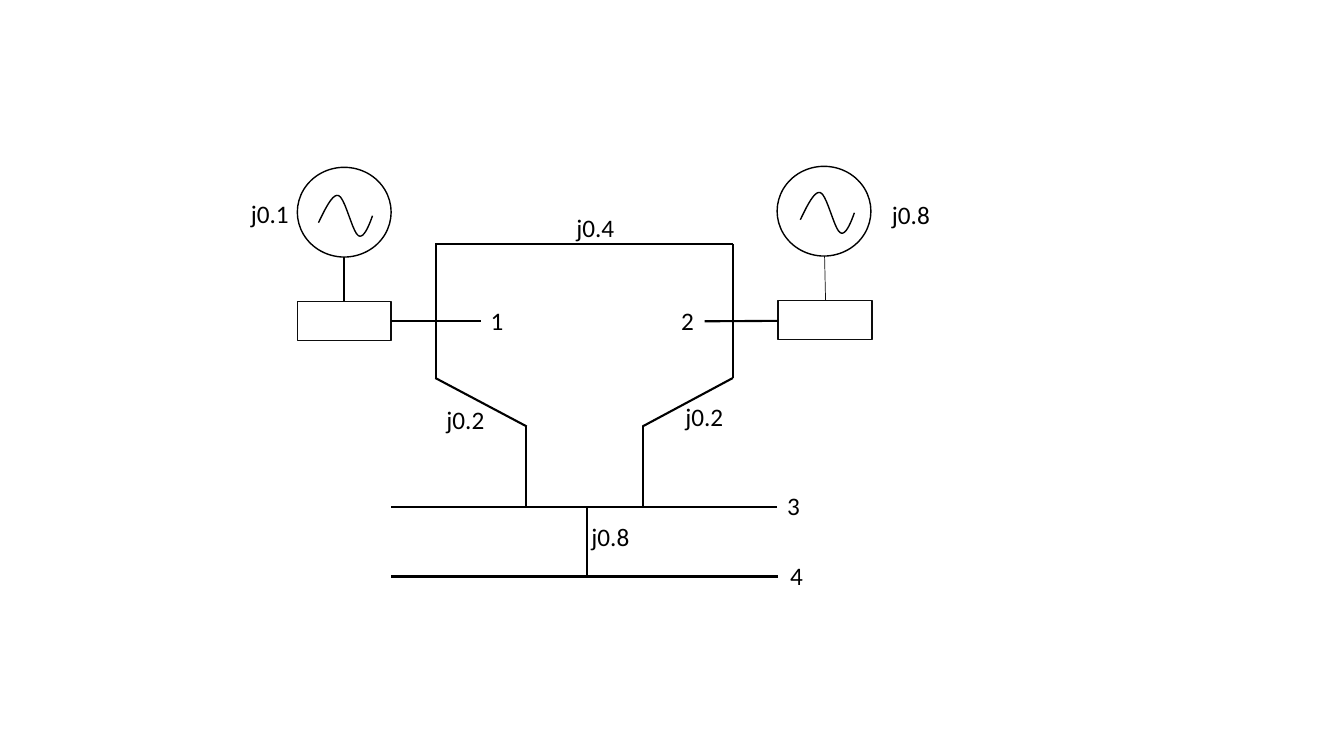
"""Draw the one-line diagram of a four-bus network with two generators."""
from typing import NamedTuple

from lxml.etree import SubElement
from pptx import Presentation
from pptx.dml.color import RGBColor
from pptx.enum.shapes import MSO_CONNECTOR as Connector, MSO_SHAPE as Preset
from pptx.enum.text import MSO_AUTO_SIZE as AutoSize
from pptx.oxml.ns import qn
from pptx.shapes.autoshape import Shape
from pptx.slide import Slide
from pptx.util import Pt

BLACK = RGBColor(0x00, 0x00, 0x00)
NEAR_BLACK = RGBColor(0x0D, 0x0D, 0x0D)
FONT = "Calibri"
CURVE_STEPS = 10
SINE_CURVES = (
    ((0, 0), (5, -10.3), (10.1, -21), (14.4, -19.4)),
    ((14.4, -19.4), (19.2, -17.5), (24.3, 7), (28.5, 9.2)),
    ((28.5, 9.2), (32, 11.5), (35.6, 3.6), (38.6, -5)),
)


class Generator(NamedTuple):
    left: float
    top: float
    sine_left: float
    sine_top: float
    box_left: float
    box_top: float


class Wire(NamedTuple):
    x1: float
    y1: float
    x2: float
    y2: float
    weight: float = 1.5
    color: RGBColor = BLACK


class Label(NamedTuple):
    text: str
    left: float
    top: float
    width: float = 41.8


GENERATORS = (
    Generator(212.4, 119.5, 227.5, 159.1, 212.4, 215.3),
    Generator(555.1, 118.8, 571.7, 157, 555.8, 214.6),
)
WIRES = (
    Wire(245.5, 183.6, 245.5, 215.3),
    Wire(589, 182.9, 589.7, 214.6, 0.5, NEAR_BLACK),
    Wire(311, 174.3, 523.5, 174.3),
    Wire(311.4, 174.6, 311.4, 270.4),
    Wire(523.5, 174.3, 523.5, 270),
    Wire(375.9, 304.6, 375.9, 362.2),
    Wire(459.3, 304.6, 459.3, 362.2),
    Wire(555.1, 362.2, 279.4, 362.2),
    Wire(523.5, 270, 459, 304.6),
    Wire(376.2, 304.6, 311, 270),
    Wire(555.8, 411.8, 279.4, 411.8),
    Wire(419, 362.2, 419, 411.5),
    Wire(555.8, 229.2, 503.3, 229.5),
    Wire(279.4, 229.5, 343.4, 229.5),
)
LABELS = (
    Label("j0.8", 630, 139),
    Label("j0.1", 172.1, 138.2),
    Label("j0.4", 404.6, 148.3),
    Label("j0.2", 482.4, 283),
    Label("j0.2", 311.8, 285.1),
    Label("j0.8", 415.4, 368.6),
    Label("1", 343.4, 214.6, 23.8),
    Label("2", 479.5, 214.6, 23.8),
    Label("3", 555.1, 347, 23.8),
    Label("4", 557.3, 396.7, 23.8),
)


def outline(shape: Shape, color: RGBColor) -> None:
    """Leave the shape unfilled with a thin line."""
    shape.shadow.inherit = False
    shape.fill.background()
    shape.line.color.rgb = color
    shape.line.width = Pt(1)


def sine_points() -> list[tuple[float, float]]:
    """Sample the cubic curves of the sine symbol."""
    points = []
    for curve in SINE_CURVES:
        for step in range(1, CURVE_STEPS + 1):
            t = step / CURVE_STEPS
            weights = ((1 - t) ** 3, 3 * t * (1 - t) ** 2, 3 * t * t * (1 - t), t ** 3)
            x, y = (sum(w * point[axis] for w, point in zip(weights, curve)) for axis in (0, 1))
            points.append((x, y))
    return points


def draw_generator(page: Slide, unit: Generator) -> None:
    """Draw a generator circle, its sine symbol and its box."""
    circle = page.shapes.add_shape(
        Preset.OVAL, Pt(unit.left), Pt(unit.top), Pt(67), Pt(64.1))
    outline(circle, BLACK)
    box = page.shapes.add_shape(
        Preset.RECTANGLE, Pt(unit.box_left), Pt(unit.box_top), Pt(67), Pt(28.1))
    outline(box, NEAR_BLACK)
    builder = page.shapes.build_freeform(Pt(unit.sine_left), Pt(unit.sine_top))
    builder.add_line_segments(
        [(Pt(unit.sine_left + x), Pt(unit.sine_top + y)) for x, y in sine_points()],
        close=False)
    outline(builder.convert_to_shape(), BLACK)


def draw_wire(page: Slide, wire: Wire) -> None:
    """Draw a straight conductor or bus."""
    line = page.shapes.add_connector(
        Connector.STRAIGHT, Pt(wire.x1), Pt(wire.y1), Pt(wire.x2), Pt(wire.y2))
    line.line.color.rgb = wire.color
    line.line.width = Pt(wire.weight)
    SubElement(line._element.spPr, qn("a:effectLst"))


def draw_label(page: Slide, label: Label) -> None:
    """Write an impedance or a bus number."""
    box = page.shapes.add_textbox(
        Pt(label.left), Pt(label.top), Pt(label.width), Pt(28.8))
    frame = box.text_frame
    frame.word_wrap = False
    frame.auto_size = AutoSize.SHAPE_TO_FIT_TEXT
    span = frame.paragraphs[0].add_run()
    span.text = label.text
    span.font.name = FONT
    span.font.size = Pt(18)
    span.font.color.rgb = BLACK


def main() -> None:
    """Build and save the deck."""
    deck = Presentation()
    deck.slide_width, deck.slide_height = Pt(960), Pt(540)
    page = deck.slides.add_slide(deck.slide_layouts[6])
    for unit in GENERATORS:
        draw_generator(page, unit)
    for wire in WIRES:
        draw_wire(page, wire)
    for label in LABELS:
        draw_label(page, label)
    deck.save("out.pptx")


main()
